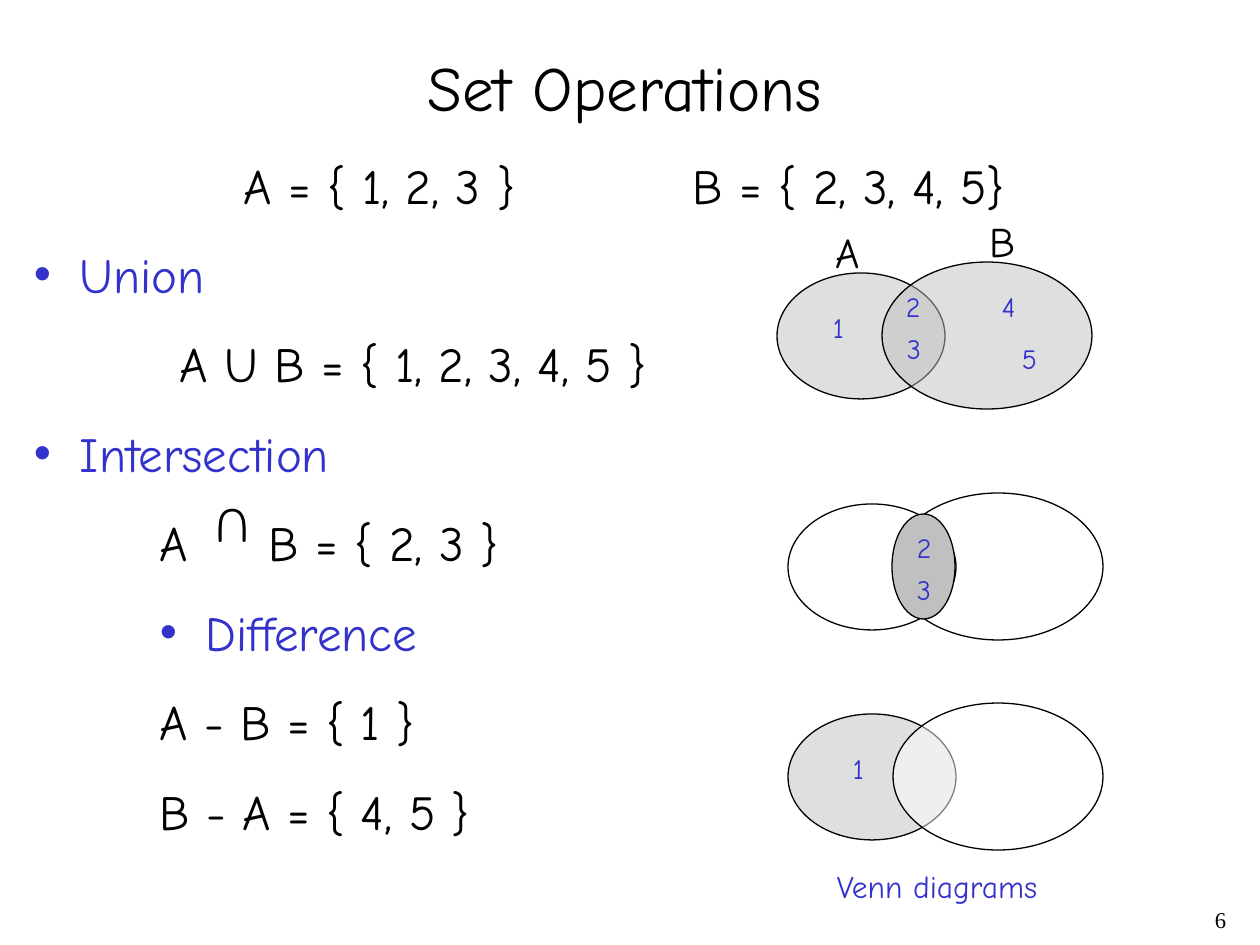
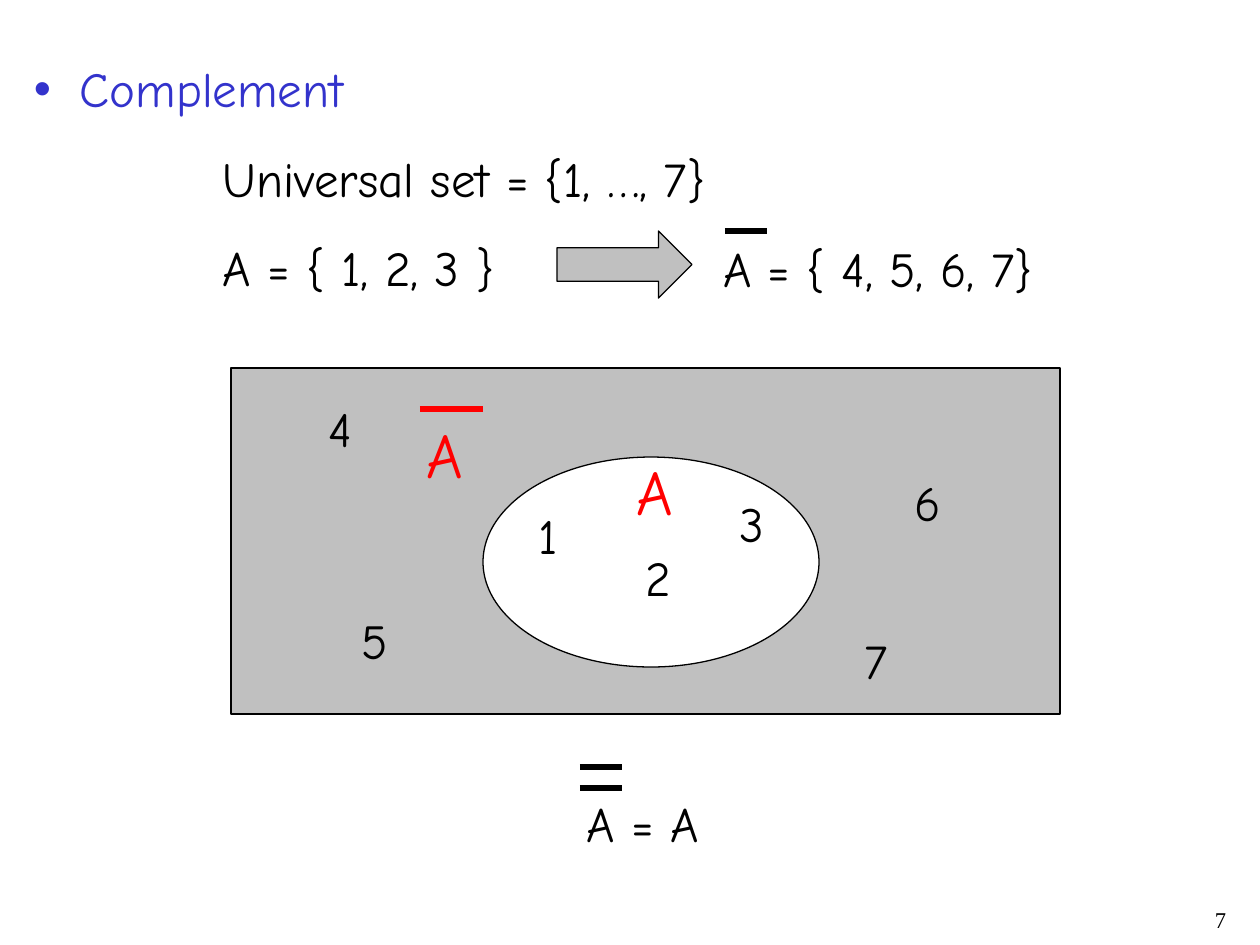
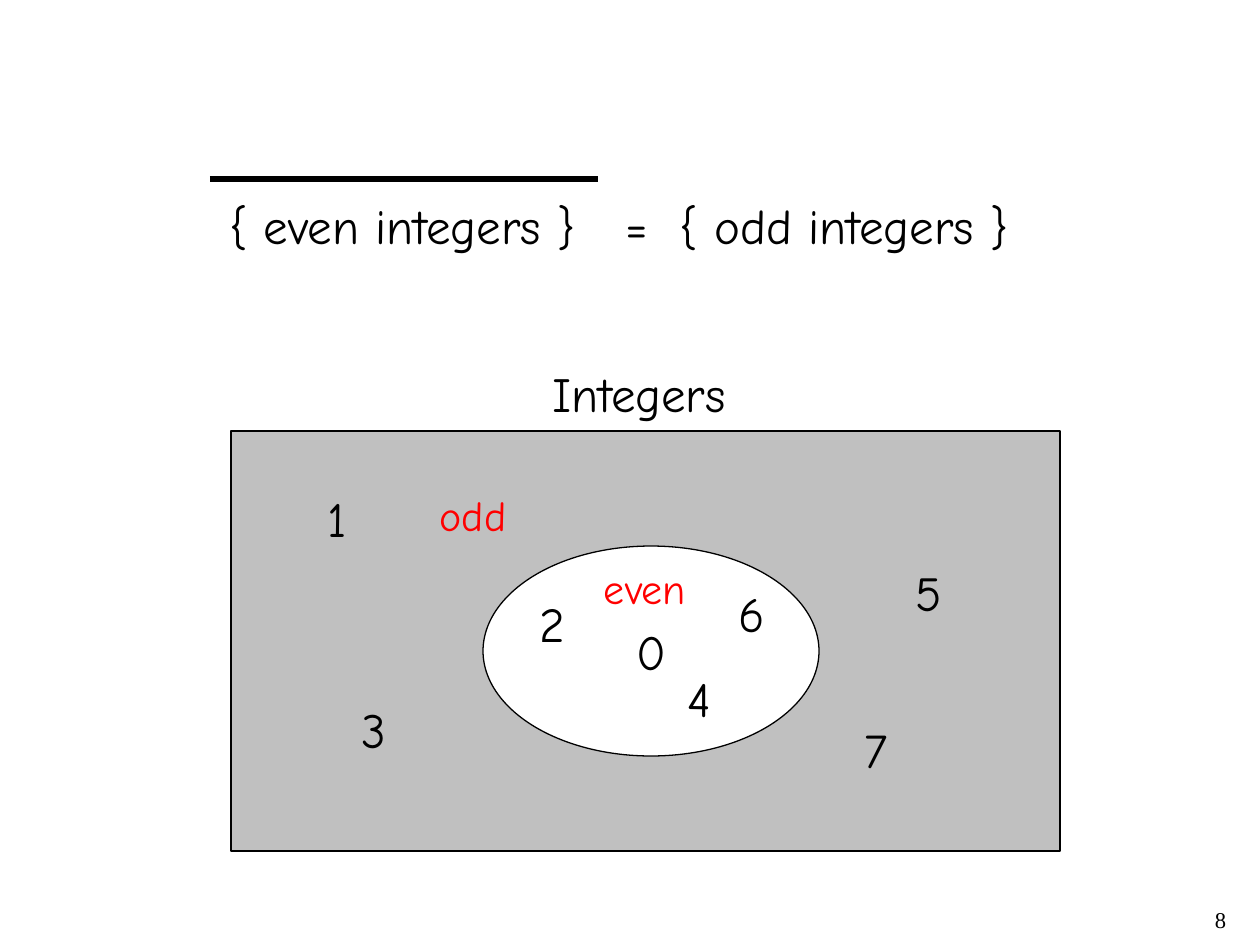
import pptx
import pptx.util
import pptx.dml.color
import pptx.enum.shapes
import pptx.enum.text
import pptx.oxml
import pptx.oxml.ns
import lxml.etree

SHAPE = pptx.enum.shapes.MSO_SHAPE
ALIGN = pptx.enum.text.PP_ALIGN
ANCHOR = pptx.enum.text.MSO_ANCHOR
LEFT, CENTER, RIGHT = ALIGN.LEFT, ALIGN.CENTER, ALIGN.RIGHT
TOP, MIDDLE = ANCHOR.TOP, ANCHOR.MIDDLE

SCALE = 914400 / 126
BLACK, BLUE, RED, GRAY, WHITE = "000000", "3333CC", "FF0000", "C0C0C0", "FFFFFF"
FONT, NUMBER_FONT = "Comic Neue", "Times New Roman"
BODY, HANG = 28, 46
INSETS = {"margin_left": 13, "margin_right": 13, "margin_top": 6, "margin_bottom": 6}
NUMBER_PLACE = (977, 903, 262, 42)

TITLE = ("Set Operations", (21, 42, 1207, 88))
OPERATIONS = [
    {"text": "A = { 1, 2, 3 }", "indent": 210},
    {"text": "Union", "bullet": True},
    {"text": "A U B = { 1, 2, 3, 4, 5 }", "indent": 146},
    {"text": "Intersection", "bullet": True},
    {"text": "A", "indent": 126},
    {"text": "Difference", "bullet": True, "indent": 126},
    {"text": "A - B = { 1 }", "indent": 126},
    {"text": "B - A = { 4, 5 }", "indent": 126},
]
SECOND_SETS = [("B = { 2, 3, 4, 5}", 680, 149, 338), ("B = { 2, 3 }", 256, 507, 253)]
VENNS = [
    (777, 273, GRAY, GRAY),
    (788, 714, GRAY, WHITE),
    (788, 504, None, None),
]
LENS = (892, 514, 63, 105)
SET_NAMES = [("A", 823, 221, 49), ("B", 977, 210, 50)]
MEMBERS = [
    ("2", 893, 284, 39), ("3", 894, 325, 39), ("1", 820, 305, 37),
    ("4", 989, 284, 39), ("5", 1009, 336, 40), ("2", 904, 525, 39),
    ("3", 904, 567, 39), ("1", 840, 746, 37),
]
CAPTION = [("Venn diagrams", 824, 861, 228)]
CAP = ("U", 199, 493, 63)

COMPLEMENT = [
    {"text": "Complement", "bullet": True},
    {"text": "Universal set = {1, …, 7}", "indent": 189},
    {"text": "A = { 1, 2, 3 }", "indent": 189},
]
COMPLEMENT_ITEMS = [
    ("A = { 4, 5, 6, 7}", 710, 232, 334),
    ("1", 526, 499, 44), ("2", 633, 541, 50), ("3", 727, 488, 49),
    ("4", 316, 393, 49), ("5", 349, 604, 52), ("6", 902, 466, 52),
    ("7", 852, 624, 48), ("A = A", 574, 787, 137),
]
COMPLEMENT_NAMES = [("A", 414, 409, 62), ("A", 624, 446, 62)]
OVERLINES = [
    (725, 231, 42, BLACK), (420, 409, 63, RED),
    (580, 788, 42, BLACK), (580, 767, 42, BLACK),
]

EVEN_SET = [{"text": "{ even integers }", "indent": 80}]
ODD_SET = [("=", 613, 189, 47), ("{ odd integers }", 667, 189, 355)]
INTEGER_ITEMS = [
    ("2", 527, 588, 50), ("4", 675, 662, 49), ("6", 726, 577, 52),
    ("1", 314, 482, 44), ("3", 349, 693, 49), ("5", 903, 556, 52),
    ("7", 852, 713, 48),
]
PARITY_NAMES = [("even", 591, 556, 108), ("odd", 427, 483, 92)]
HEADING = [("Integers", 539, 357, 200)]


def px(value):
    return pptx.util.Emu(round(value * SCALE))


def rgb(value):
    return pptx.dml.color.RGBColor.from_string(value)


def assign(target, values):
    for name, value in values.items():
        setattr(target, name, value)


def child(parent, tag, **attributes):
    return lxml.etree.SubElement(parent, pptx.oxml.ns.qn(tag), attributes)


def write(frame, lines, size=BODY, color=BLACK, align=LEFT, anchor=TOP, wrap=True, font=FONT):
    assign(frame, {name: px(value) for name, value in INSETS.items()})
    assign(frame, {"auto_size": pptx.enum.text.MSO_AUTO_SIZE.NONE,
                   "word_wrap": wrap, "vertical_anchor": anchor})
    for index, line in enumerate(lines):
        para = frame.paragraphs[0] if index == 0 else frame.add_paragraph()
        bullet, indent = line.get("bullet", False), line.get("indent", 0)
        assign(para, {"alignment": align, "space_before": pptx.util.Pt(17.5 if index else 0),
                      "line_spacing": line.get("spacing", 1.0)})
        props = para._p.get_or_add_pPr()
        props.set("marL", str(px(indent + HANG * bullet)))
        props.set("indent", str(px(-HANG * bullet)))
        if bullet:
            child(child(props, "a:buClr"), "a:srgbClr", val=BLUE)
            child(props, "a:buFont", typeface="Arial")
            child(props, "a:buChar", char="•")
        else:
            child(props, "a:buNone")
        span = para.add_run()
        span.text = line["text"]
        assign(span.font, {"name": font, "size": pptx.util.Pt(size)})
        span.font.color.rgb = rgb(BLUE if bullet else color)


def add_text(page, place, lines, **style):
    box = page.shapes.add_textbox(*map(px, place))
    write(box.text_frame, lines, **style)
    return box


def add_labels(page, labels, size=BODY, **style):
    for text, left, top, width in labels:
        place = (left, top, width, 2.1 * size + 13)
        box = add_text(page, place, [{"text": text}], size=size, wrap=False, **style)
    return box


def add_figure(page, kind, place, fill=None, opacity=100):
    shape = page.shapes.add_shape(kind, *map(px, place))
    shape.shadow.inherit = False
    if fill:
        shape.fill.solid()
        shape.fill.fore_color.rgb = rgb(fill)
        if opacity < 100:
            tint = shape._element.spPr.find(".//" + pptx.oxml.ns.qn("a:srgbClr"))
            child(tint, "a:alpha", val=str(opacity * 1000))
    else:
        shape.fill.background()
    shape.line.color.rgb = rgb(BLACK)
    shape.line.width = pptx.util.Pt(0.74)
    return shape


def add_overline(page, left, top, width, color=BLACK):
    bar = page.shapes.add_connector(pptx.enum.shapes.MSO_CONNECTOR.STRAIGHT,
                                    px(left), px(top), px(left + width), px(top))
    bar.line.color.rgb = rgb(color)
    bar.line.width = pptx.util.Pt(3)
    child(bar._element.spPr, "a:effectLst")


def add_universe(page, top, height, inner_top):
    add_figure(page, SHAPE.RECTANGLE, (231, top, 829, height), GRAY)
    return add_figure(page, SHAPE.OVAL, (483, inner_top, 336, 210), WHITE)


def add_page(deck, layout, number):
    page = deck.slides.add_slide(deck.slide_layouts[layout])
    add_text(page, NUMBER_PLACE, [{"text": str(number), "spacing": 0.9}],
             size=12.9, align=RIGHT, font=NUMBER_FONT)
    return page


def build_operations(deck):
    page = add_page(deck, 5, 6)
    text, place = TITLE
    title = page.shapes.title
    assign(title, dict(zip(("left", "top", "width", "height"), map(px, place))))
    write(title.text_frame, [{"text": text}], size=36, align=CENTER)
    add_text(page, (21, 149, 1207, 697), OPERATIONS)
    add_labels(page, SECOND_SETS)
    add_labels(page, [CAP]).rotation = 180
    for left, top, fill_a, fill_b in VENNS:
        add_figure(page, SHAPE.OVAL, (left, top, 168, 126), fill_a, 50)
        add_figure(page, SHAPE.OVAL, (left + 105, top - 11, 210, 147), fill_b, 50)
    add_figure(page, SHAPE.OVAL, LENS, GRAY)
    add_labels(page, SET_NAMES, size=24)
    add_labels(page, MEMBERS, size=16, color=BLUE)
    add_labels(page, CAPTION, size=18, color=BLUE)


def build_complement(deck):
    page = add_page(deck, 6, 7)
    add_universe(page, 368, 346, 457)
    add_text(page, (21, 53, 1218, 251), COMPLEMENT)
    add_figure(page, SHAPE.RIGHT_ARROW, (557, 231, 135, 67), GRAY)
    add_labels(page, COMPLEMENT_ITEMS)
    add_labels(page, COMPLEMENT_NAMES, size=36, color=RED, align=CENTER, anchor=MIDDLE)
    for overline in OVERLINES:
        add_overline(page, *overline)


def build_integers(deck):
    page = add_page(deck, 6, 8)
    evens = add_universe(page, 431, 420, 546)
    write(evens.text_frame, [{"text": "0"}], align=CENTER, anchor=MIDDLE, wrap=False)
    add_labels(page, INTEGER_ITEMS)
    add_labels(page, PARITY_NAMES, size=24, color=RED, align=CENTER, anchor=MIDDLE)
    add_text(page, (136, 189, 987, 72), EVEN_SET, anchor=MIDDLE)
    add_labels(page, ODD_SET, anchor=MIDDLE)
    add_overline(page, 210, 179, 388)
    add_labels(page, HEADING, align=CENTER, anchor=MIDDLE)


deck = pptx.Presentation()
assign(deck, {"slide_width": px(1260), "slide_height": px(945)})
build_operations(deck)
build_complement(deck)
build_integers(deck)
deck.save("out.pptx")
